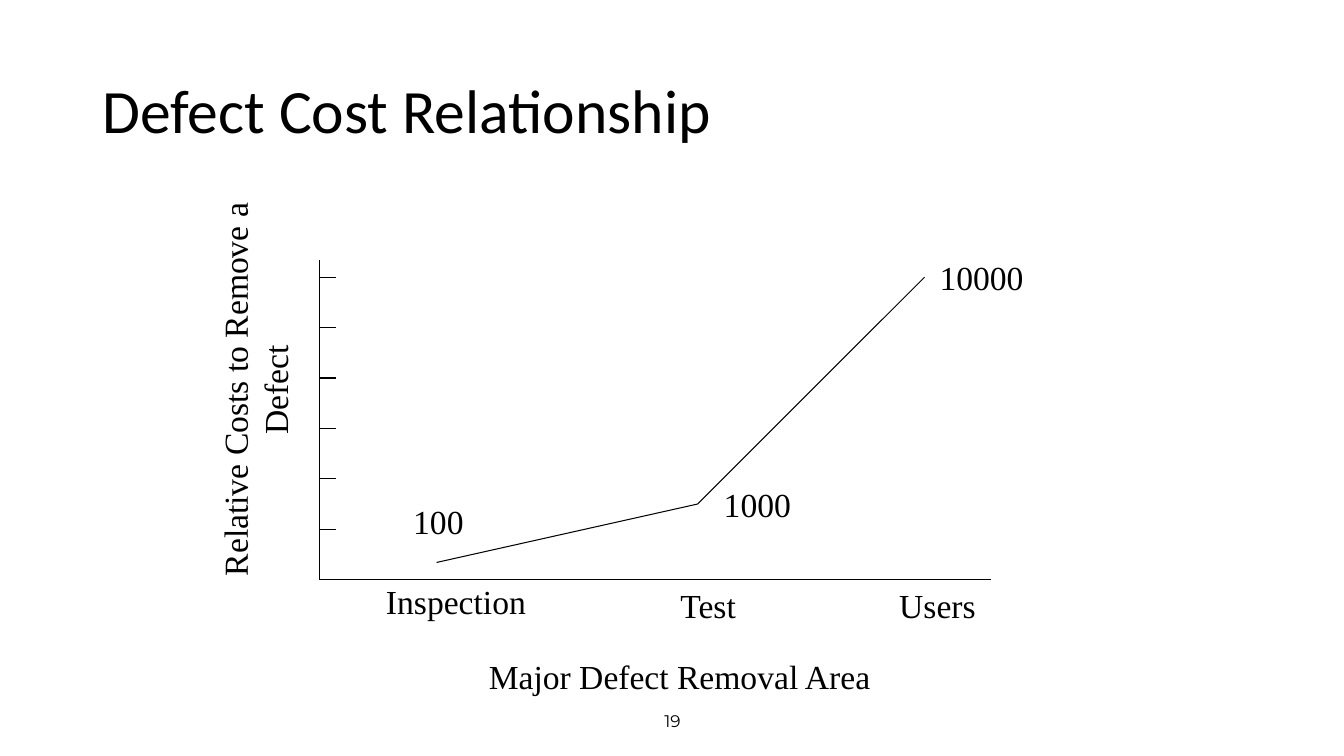
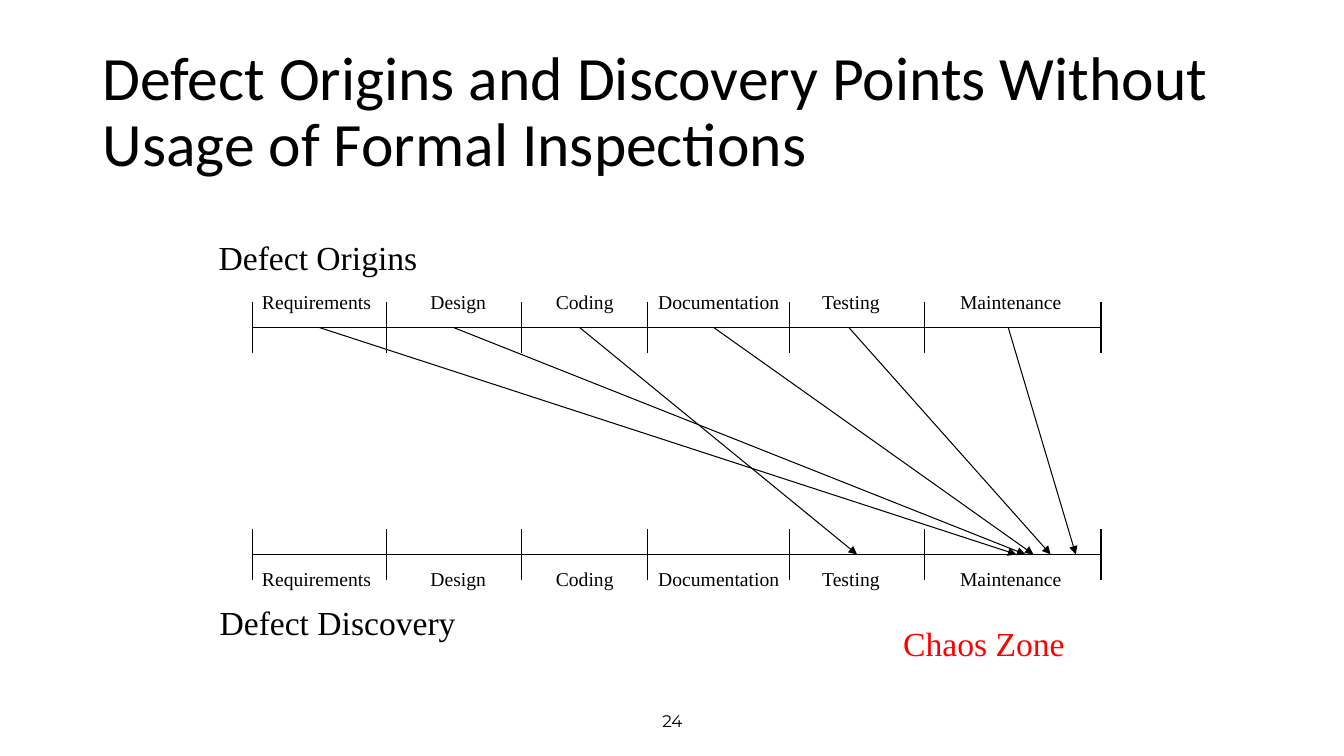
from lxml.etree import SubElement
from pptx import Presentation
from pptx.dml.color import RGBColor
from pptx.enum.shapes import MSO_CONNECTOR
from pptx.enum.text import MSO_ANCHOR, MSO_AUTO_SIZE, PP_ALIGN
from pptx.oxml.ns import qn
from pptx.util import Inches, Pt

COLORS = {"paper": "FFFFFF", "ink": "000000", "alert": "FF0000"}

TITLE_BOX = (0.92, 0.4, 11.5, 1.45)
NUMBER_BOX = (4.42, 6.95, 4.5, 0.4)
CHART_BOX = (3.17, 2.58, 6.66, 3.17)
FLOW_BOX = (2.5, 3.25, 8.42, 2.25)

TITLE = {"name": "Calibri", "size": Pt(44)}
NUMBER = {"name": "Montserrat", "size": Pt(12)}
LABEL = {"name": "Times New Roman", "size": Pt(24)}
STAGE = {"name": "Times New Roman", "size": Pt(14)}

FIXED = {"word_wrap": True, "vertical_anchor": MSO_ANCHOR.MIDDLE}
FITTED = {"word_wrap": False, "auto_size": MSO_AUTO_SIZE.SHAPE_TO_FIT_TEXT}
CENTERED = {"alignment": PP_ALIGN.CENTER}

COSTS = [
    ("100", (1.16, 3.0), (0.83, 2.34, 0.7, 0.5)),
    ("1000", (3.75, 2.42), (3.91, 2.17, 0.87, 0.5)),
    ("10000", (6.0, 0.17), (6.05, -0.08, 1.03, 0.5)),
]
AREAS = [
    ("Inspection", (0.56, 3.13, 1.6, 0.51)),
    ("Test", (3.48, 3.17, 0.77, 0.5)),
    ("Users", (5.65, 3.17, 0.96, 0.5)),
    ("Major Defect Removal Area", (1.58, 3.88, 4, 0.5)),
]
STAGES = [
    ("Requirements", -0.05, 1.38),
    ("Design", 1.62, 0.85),
    ("Coding", 2.85, 0.9),
    ("Documentation", 3.88, 1.5),
    ("Testing", 5.5, 0.88),
    ("Maintenance", 6.87, 1.31),
]
STAGE_EDGES = [0, 1.33, 2.67, 3.92, 5.33, 6.67, 8.42]
DISCOVERIES = [
    (0.67, 7.58), (2.0, 7.67), (3.25, 6.0),
    (4.58, 7.75), (5.92, 7.92), (7.5, 8.17),
]
FLOW_LABELS = [
    ("Defect Origins", (-0.43, -0.95, 2.17, 0.5), "ink"),
    ("Defect Discovery", (-0.42, 2.67, 2.54, 0.5), "ink"),
    ("Chaos Zone", (6.36, 2.88, 1.8, 0.5), "alert"),
]


def apply_format(target, values):
    """Set every attribute named in values on the target."""
    for name, value in values.items():
        setattr(target, name, value)


def shift(box, left, top):
    """Move a box by the given origin."""
    return (box[0] + left, box[1] + top, box[2], box[3])


def add_text(shapes, box, text, font, frame=FITTED, paragraph_format=None, color="ink"):
    """Add a text box with one format for all its paragraphs."""
    shape = shapes.add_textbox(*map(Inches, box))
    shape.text_frame.text = text
    apply_format(shape.text_frame, frame)
    for paragraph in shape.text_frame.paragraphs:
        apply_format(paragraph, paragraph_format or {})
        for run in paragraph.runs:
            apply_format(run.font, font)
            run.font.color.rgb = RGBColor.from_string(COLORS[color])
    return shape


def add_line(shapes, start, end, arrow=False):
    """Draw a thin straight line, with an arrowhead at its end if wanted."""
    connector = shapes.add_connector(MSO_CONNECTOR.STRAIGHT, *map(Inches, (*start, *end)))
    connector.line.width = Pt(0.75)
    connector.line.color.rgb = RGBColor.from_string(COLORS["ink"])
    if arrow:
        SubElement(connector.line._get_or_add_ln(), qn("a:tailEnd"), type="triangle")
    SubElement(connector._element.spPr, qn("a:effectLst"))


def add_base_slide(presentation, title, number):
    """Add a blank slide with its title and page number."""
    slide = presentation.slides.add_slide(presentation.slide_layouts[6])
    slide.background.fill.solid()
    slide.background.fill.fore_color.rgb = RGBColor.from_string(COLORS["paper"])
    add_text(slide.shapes, NUMBER_BOX, number, NUMBER, FIXED, CENTERED)
    add_text(slide.shapes, TITLE_BOX, title, TITLE, FIXED, {"line_spacing": 0.9})
    return slide


def add_cost_axes(shapes, box):
    """Draw the two axes, the ticks and the axis labels."""
    left, top, width, height = box
    bottom = top + height
    add_line(shapes, (left, top), (left, bottom))
    add_line(shapes, (left, bottom), (left + width, bottom))
    for step in range(1, 7):
        tick = bottom - step * 0.5
        add_line(shapes, (left, tick), (left + 0.16, tick))
    for text, place in AREAS:
        add_text(shapes, shift(place, left, top), text, LABEL)
    axis_title = add_text(
        shapes, shift((-2.61, 0.83, 3.94, 0.91), left, top),
        "Relative Costs to Remove a\nDefect", LABEL, FITTED, CENTERED)
    axis_title.rotation = 270


def add_cost_curve(shapes, box):
    """Join the cost points and label each with its value."""
    left, top = box[:2]
    points = [(left + x, top + y) for _, (x, y), _ in COSTS]
    for start, end in zip(points, points[1:]):
        add_line(shapes, start, end)
    for text, _, place in COSTS:
        add_text(shapes, shift(place, left, top), text, LABEL)


def add_timeline(slide, left, axis, label_top):
    """Add a grouped row of stages split by ticks along an axis."""
    shapes = slide.shapes.add_group_shape().shapes
    add_line(shapes, (left, axis), (left + STAGE_EDGES[-1], axis))
    for edge in STAGE_EDGES:
        add_line(shapes, (left + edge, axis - 0.25), (left + edge, axis + 0.25))
    for name, offset, width in STAGES:
        add_text(shapes, (left + offset, label_top, width, 0.33), name, STAGE,
                 FITTED, CENTERED)


def add_defect_flow(slide, box):
    """Link the origin timeline to the discovery timeline."""
    left, top, _, height = box
    bottom = top + height
    add_timeline(slide, left, top, top - 0.42)
    add_timeline(slide, left, bottom, bottom + 0.08)
    for origin, discovery in DISCOVERIES:
        add_line(slide.shapes, (left + origin, top), (left + discovery, bottom), arrow=True)
    for text, place, color in FLOW_LABELS:
        add_text(slide.shapes, shift(place, left, top), text, LABEL, color=color)


def build_cost_slide(presentation):
    """Build the slide on the cost of removing defects."""
    slide = add_base_slide(presentation, "Defect Cost Relationship", "19")
    add_cost_axes(slide.shapes, CHART_BOX)
    add_cost_curve(slide.shapes, CHART_BOX)


def build_discovery_slide(presentation):
    """Build the slide on where defects arise and are found."""
    title = "Defect Origins and Discovery Points Without Usage of Formal Inspections"
    add_defect_flow(add_base_slide(presentation, title, "24"), FLOW_BOX)


def main():
    """Build and save the presentation."""
    presentation = Presentation()
    apply_format(presentation, {"slide_width": Inches(13.33), "slide_height": Inches(7.5)})
    build_cost_slide(presentation)
    build_discovery_slide(presentation)
    presentation.save("out.pptx")


if __name__ == "__main__":
    main()
